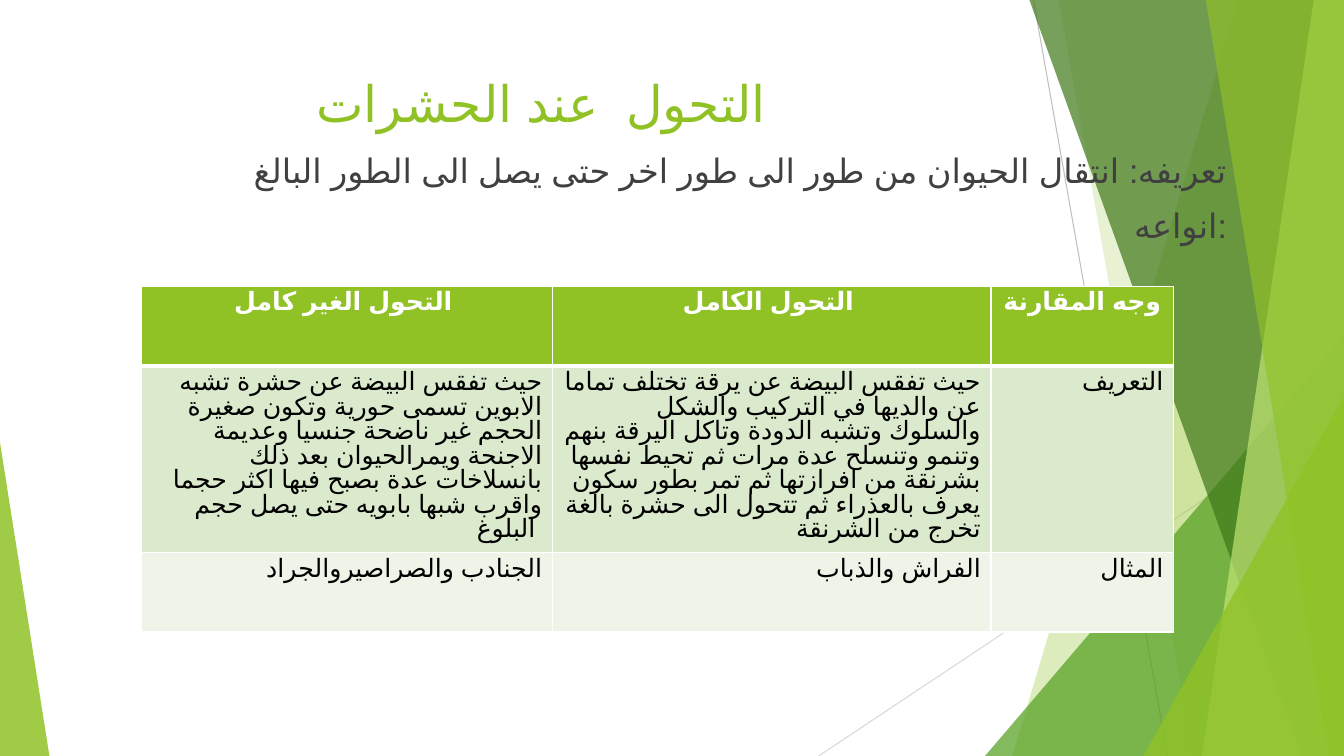
from lxml import etree
from pptx import Presentation
from pptx.dml.color import RGBColor
from pptx.enum.shapes import MSO_CONNECTOR, MSO_SHAPE
from pptx.enum.text import MSO_ANCHOR, PP_ALIGN
from pptx.oxml.ns import qn
from pptx.util import Inches, Pt

STRAIGHT, TRIANGLE = MSO_CONNECTOR.STRAIGHT, MSO_SHAPE.ISOSCELES_TRIANGLE
CENTER, RIGHT, TOP = PP_ALIGN.CENTER, PP_ALIGN.RIGHT, MSO_ANCHOR.TOP
WIDTH, HEIGHT = 13.33, 7.5
GREEN, WHITE = "90C226", "FFFFFF"

TITLE = "التحول  عند الحشرات "
DEFINITION = [
    "تعريفه: انتقال الحيوان من طور الى طور اخر حتى يصل الى الطور البالغ",
    "انواعه:",
]
COMPARISON = [
    ("التحول الغير كامل ", "التحول الكامل ", "وجه المقارنة "),
    (
        "حيث تفقس البيضة عن حشرة تشبه الابوين تسمى حورية وتكون صغيرة الحجم "
        "غير ناضحة جنسيا وعديمة الاجنحة ويمرالحيوان بعد ذلك بانسلاخات عدة "
        "بصبح فيها اكثر حجما واقرب شبها بابويه حتى يصل حجم البلوغ ",
        "حيث تفقس البيضة عن يرقة تختلف تماما عن والديها في التركيب والشكل "
        "والسلوك وتشبه الدودة وتاكل اليرقة بنهم وتنمو وتنسلح عدة مرات ثم تحيط "
        "نفسها بشرنقة من افرازتها ثم تمر بطور سكون يعرف بالعذراء ثم تتحول الى "
        "حشرة بالغة تخرج من الشرنقة",
        "التعريف",
    ),
    ("الجنادب والصراصيروالجراد", "الفراش والذباب", "المثال"),
]
COLUMN_WIDTHS = (4.08, 4.35, 1.81)
ROW_HEIGHTS = (0.79, 1.85, 0.79)
ROW_FILLS = (GREEN, "DBE9CD", "EEF4E8")

RAYS = [((10.25, 0), (11.58, HEIGHT), "BFBFBF"), ((WIDTH, 4.03), (8.12, HEIGHT), "D9D9D9")]
# Each band runs from its top-left x to its bottom-left x and fills to the right edge.
BACK_FACETS = [
    ("band", (12.28, 10.04), GREEN, 30),
    ("band", (10.5, 11.83), GREEN, 20),
    ("triangle", (9.77, 3.33, 3.56, 1), "54A021", 72),
    ("band", (10.21, 12.91), "3F7819", 70),
    ("band", (13.03, 11.92), "C0E474", 70),
    ("band", (11.96, 13.18), GREEN, 65),
    ("triangle", (11.34, 3.93, 1.99, 1), GREEN, 80),
    ("triangle", (0, 4.39, 0.49, 0), GREEN, 85),
]


def rgb(value):
    """Turn a hex string into a colour."""
    return RGBColor.from_string(value)


def paint(shape, color, opacity):
    """Fill a shape with a translucent colour and no outline."""
    shape.shadow.inherit = False
    shape.fill.solid()
    shape.fill.fore_color.rgb = rgb(color)
    shape.line.fill.background()
    fill_color = shape.fill._xPr.find(qn("a:solidFill"))[0]
    etree.SubElement(fill_color, qn("a:alpha")).set("val", str(opacity * 1000))


def write(paragraph, text, align, color, **formats):
    """Put formatted Arabic text into a paragraph."""
    run = paragraph.add_run()
    run.text = text
    paragraph.alignment = align
    for name, value in {"name": "Arial", **formats}.items():
        setattr(run.font, name, value)
    run.font.color.rgb = rgb(color)
    run.font._element.set("lang", "ar-SA")
    etree.SubElement(run.font._element, qn("a:cs")).set("typeface", "Arial")


def place(placeholder, left, top, width, height):
    """Move a placeholder above the backdrop and anchor its text at the top."""
    placeholder.left, placeholder.top = Inches(left), Inches(top)
    placeholder.width, placeholder.height = Inches(width), Inches(height)
    placeholder.text_frame.vertical_anchor = TOP
    placeholder.text_frame.word_wrap = True
    placeholder._element.getparent().append(placeholder._element)


def draw_backdrop(shapes):
    """Draw the thin rays and the green facets."""
    for start, end, color in RAYS:
        ray = shapes.add_connector(STRAIGHT, *map(Inches, start + end))
        ray.line.color.rgb = rgb(color)
        ray.line.width = Pt(0.75)
        etree.SubElement(ray._element.spPr, qn("a:effectLst"))
    for kind, geometry, color, opacity in BACK_FACETS:
        if kind == "band":
            top_x, bottom_x = geometry
            outline = [(WIDTH, 0), (WIDTH, HEIGHT), (bottom_x, HEIGHT)]
            builder = shapes.build_freeform(Inches(top_x), 0)
            builder.add_line_segments([(Inches(x), Inches(y)) for x, y in outline])
            facet = builder.convert_to_shape()
        else:
            left, top, width, apex = geometry
            facet = shapes.add_shape(TRIANGLE, *map(Inches, (left, top, width, HEIGHT - top)))
            facet.adjustments[0] = apex
        paint(facet, color, opacity)


def white_border(side, points):
    """Make a white border line for one side of a cell."""
    line = etree.Element(qn(f"a:{side}"), w=str(Pt(points)))
    fill = etree.SubElement(line, qn("a:solidFill"))
    etree.SubElement(fill, qn("a:srgbClr"), val=WHITE)
    return line


def draw_table(shapes):
    """Draw the comparison table."""
    frame = shapes.add_table(
        len(ROW_HEIGHTS), len(COLUMN_WIDTHS), Inches(1.4), Inches(2.84),
        Inches(sum(COLUMN_WIDTHS)), Inches(sum(ROW_HEIGHTS)),
    )
    table = frame.table
    for column, width in zip(table.columns, COLUMN_WIDTHS):
        column.width = Inches(width)
    for r, (texts, height, fill) in enumerate(zip(COMPARISON, ROW_HEIGHTS, ROW_FILLS)):
        table.rows[r].height = Inches(height)
        header = r == 0
        for c, text in enumerate(texts):
            cell = table.cell(r, c)
            cell.fill.solid()
            cell.fill.fore_color.rgb = rgb(fill)
            thickness = {"lnL": 1, "lnR": 1, "lnT": 3 if r == 1 else 1, "lnB": 3 if header else 1}
            for i, (side, points) in enumerate(thickness.items()):
                cell._tc.tcPr.insert(i, white_border(side, points))
            paragraph = cell.text_frame.paragraphs[0]
            paragraph.line_spacing = 0.87
            write(paragraph, text, CENTER if header else RIGHT,
                  WHITE if header else "000000", size=Pt(18), bold=header)


def main():
    """Build the slide on insect metamorphosis."""
    deck = Presentation()
    deck.slide_width, deck.slide_height = Inches(WIDTH), Inches(HEIGHT)
    slide = deck.slides.add_slide(deck.slide_layouts[1])
    title, body = slide.placeholders
    draw_backdrop(slide.shapes)

    place(title, 0.74, 0.67, 9.4, 1.44)
    write(title.text_frame.paragraphs[0], TITLE, CENTER, GREEN, size=Pt(36))

    place(body, 0.92, 1.44, 11.35, 5.31)
    for i, text in enumerate(DEFINITION):
        frame = body.text_frame
        paragraph = frame.add_paragraph() if i else frame.paragraphs[0]
        properties = paragraph._p.get_or_add_pPr()
        properties.set("marL", "0")
        properties.set("indent", "0")
        etree.SubElement(properties, qn("a:buNone"))
        paragraph.space_before = Pt(10 if i else 0)
        write(paragraph, text, RIGHT, "404040", size=Pt(24))

    draw_table(slide.shapes)
    deck.save("out.pptx")


if __name__ == "__main__":
    main()
